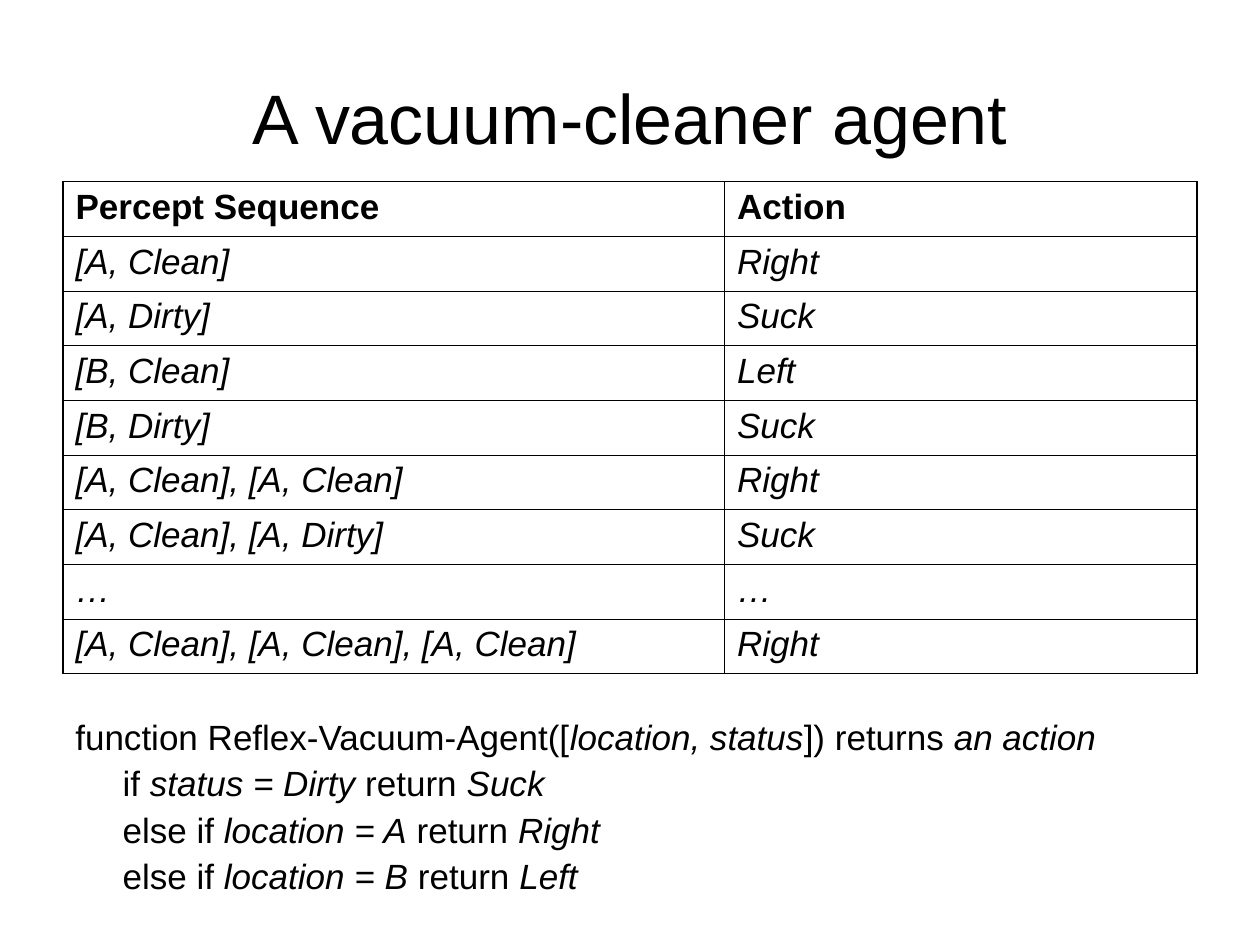
from dataclasses import dataclass
from typing import NamedTuple

from lxml.etree import SubElement
from pptx import Presentation
from pptx.dml.color import RGBColor
from pptx.enum.text import MSO_ANCHOR, PP_ALIGN
from pptx.oxml import parse_xml
from pptx.oxml.ns import nsdecls, qn
from pptx.util import Pt


@dataclass(frozen=True)
class Theme:
    font: str = "Arial"
    ink: str = "000000"
    title: float = 40
    body: float = 20
    outer_line: float = 1.08
    inner_line: float = 0.45


class Box(NamedTuple):
    left: float
    top: float
    width: float
    height: float


class Rule(NamedTuple):
    percept: str
    action: str


class CodeLine(NamedTuple):
    indent: float
    texts: tuple[str, ...]  # plain and italic text alternate


THEME = Theme()
TITLE_BOX = Box(36, 21.6, 648, 90)
TABLE_BOX = Box(36, 103.8, 648, 280.8)
CODE_BOX = Box(36, 408, 648, 114)
COLUMNS = (378, 270)
STEP = 27

RULES = (
    Rule("Percept Sequence", "Action"),
    Rule("[A, Clean]", "Right"),
    Rule("[A, Dirty]", "Suck"),
    Rule("[B, Clean]", "Left"),
    Rule("[B, Dirty]", "Suck"),
    Rule("[A, Clean], [A, Clean]", "Right"),
    Rule("[A, Clean], [A, Dirty]", "Suck"),
    Rule("…", "…"),
    Rule("[A, Clean], [A, Clean], [A, Clean]", "Right"),
)
CODE = (
    CodeLine(0, ("function Reflex-Vacuum-Agent([", "location, status", "]) returns ", "an action")),
    CodeLine(STEP, ("if ", "status = Dirty", " return ", "Suck")),
    CodeLine(STEP, ("else if ", "location = A", " return ", "Right")),
    CodeLine(STEP, ("else if ", "location = B", " return ", "Left")),
)


def style(p, size: float) -> None:
    p.font.name = THEME.font
    p.font.size = Pt(size)
    p.font.color.rgb = RGBColor.from_string(THEME.ink)


def add_text_box(s, box: Box):
    tf = s.shapes.add_textbox(*map(Pt, box)).text_frame
    tf.word_wrap = True
    return tf


def add_title(s, text: str) -> None:
    tf = add_text_box(s, TITLE_BOX)
    tf.vertical_anchor = MSO_ANCHOR.MIDDLE
    p = tf.paragraphs[0]
    p.text = text
    p.alignment = PP_ALIGN.CENTER
    style(p, THEME.title)


def set_borders(cell, outer: dict[str, bool]) -> None:
    tcPr = cell._tc.get_or_add_tcPr()
    for i, (side, is_outer) in enumerate(outer.items()):
        width = Pt(THEME.outer_line if is_outer else THEME.inner_line)
        ln = parse_xml(f'<a:ln{side} {nsdecls("a")} w="{width}"/>')
        fill = SubElement(ln, qn("a:solidFill"))
        SubElement(fill, qn("a:srgbClr"), val=THEME.ink)
        tcPr.insert(i, ln)


def add_rule_table(s, rules: tuple[Rule, ...]) -> None:
    last_row, last_col = len(rules) - 1, len(COLUMNS) - 1
    table = s.shapes.add_table(len(rules), len(COLUMNS), *map(Pt, TABLE_BOX)).table
    table.horz_banding = False
    table.first_row = False
    for column, width in zip(table.columns, COLUMNS):
        column.width = Pt(width)
    for i, rule in enumerate(rules):
        table.rows[i].height = Pt(TABLE_BOX.height / len(rules))
        for j, text in enumerate(rule):
            cell = table.cell(i, j)
            cell.fill.background()
            p = cell.text_frame.paragraphs[0]
            p.text = text
            style(p, THEME.body)
            p.font.bold = i == 0
            p.font.italic = i > 0
            set_borders(cell, {"L": j == 0, "R": j == last_col, "T": i == 0, "B": i == last_row})


def add_code(s, lines: tuple[CodeLine, ...]) -> None:
    tf = add_text_box(s, CODE_BOX)
    for i, line in enumerate(lines):
        p = tf.add_paragraph() if i else tf.paragraphs[0]
        p.line_spacing = 0.9
        p.space_before = Pt(5 if i else 12.5)
        p._p.get_or_add_pPr().set("marL", str(Pt(line.indent)))
        style(p, THEME.body)
        for k, text in enumerate(line.texts):
            r = p.add_run()
            r.text = text
            r.font.italic = k % 2 == 1


def main() -> None:
    prs = Presentation()
    prs.slide_width, prs.slide_height = Pt(720), Pt(540)
    s = prs.slides.add_slide(prs.slide_layouts[6])

    # Heading
    add_title(s, "A vacuum-cleaner agent")
    # Percepts and the actions they lead to
    add_rule_table(s, RULES)
    # Agent program
    add_code(s, CODE)

    prs.save("out.pptx")


if __name__ == "__main__":
    main()
